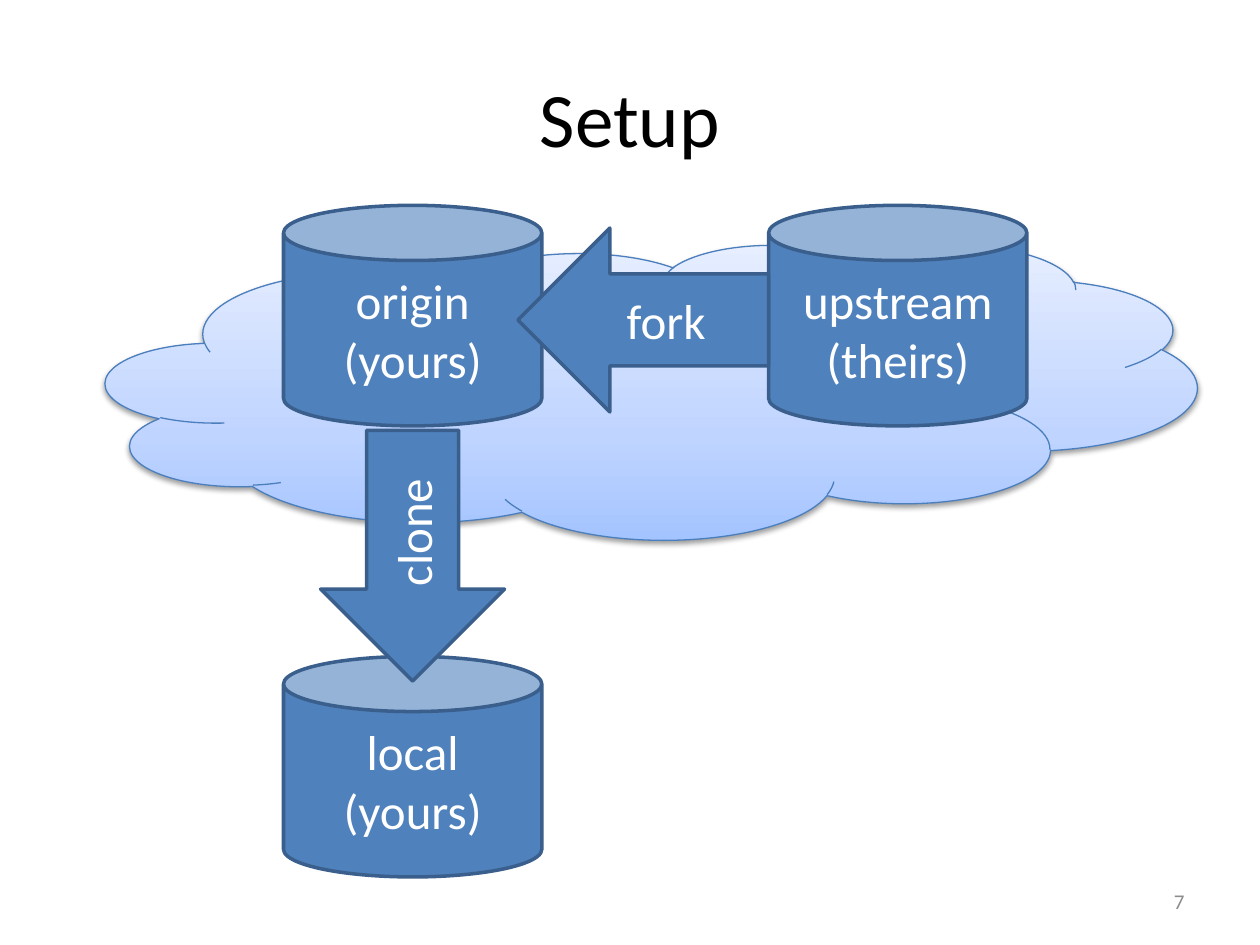
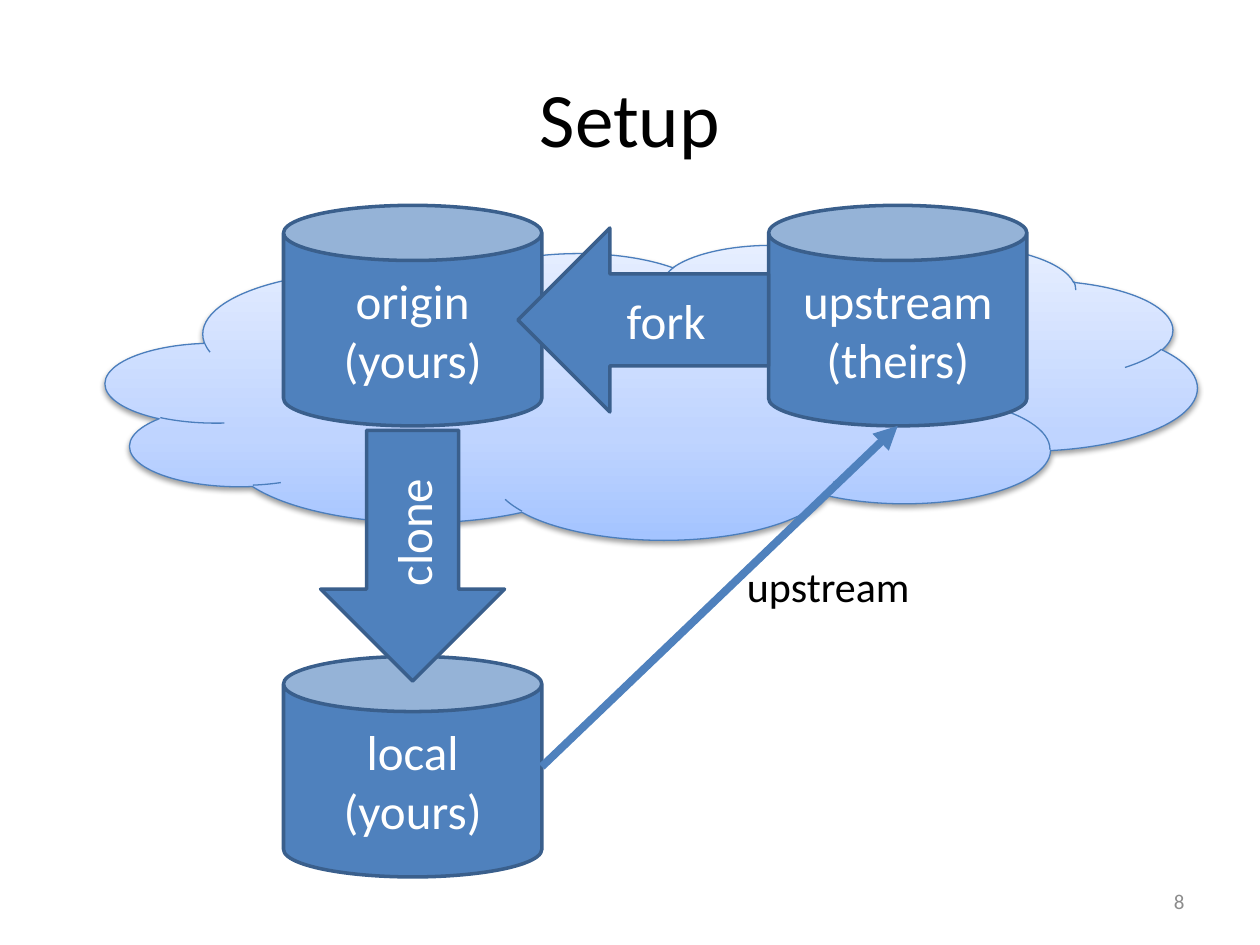
from copy import deepcopy
from pptx import Presentation
from pptx.dml.color import RGBColor
from pptx.enum.shapes import MSO_CONNECTOR, MSO_SHAPE
from pptx.enum.text import MSO_ANCHOR, PP_ALIGN
from pptx.oxml import parse_xml
from pptx.oxml.ns import nsdecls, qn
from pptx.oxml.xmlchemy import OxmlElement
from pptx.util import Inches, Pt

BLUE = RGBColor(0x4F, 0x81, 0xBD)
DARK_BLUE = RGBColor(0x3A, 0x5F, 0x8C)
CLOUD_LINE = RGBColor(0x4B, 0x7E, 0xBC)
BLACK = RGBColor(0, 0, 0)
WHITE = RGBColor(0xFF, 0xFF, 0xFF)
GRAY = RGBColor(0x8C, 0x8C, 0x8C)
CLOUD_STOPS = [
    (0, RGBColor(0xA4, 0xC4, 0xFF)),
    (0.35, RGBColor(0xBF, 0xD4, 0xFF)),
    (1, RGBColor(0xE6, 0xEE, 0xFF)),
]
FONT = "Calibri"

CAN_W, CAN_H = 2.05, 1.75
LEFT_X, RIGHT_X = 2.25, 6.1
TOP_Y, BOTTOM_Y = 1.63, 5.21
CANS = [
    ("upstream\v(theirs)", RIGHT_X, TOP_Y),
    ("origin\v(yours)", LEFT_X, TOP_Y),
    ("local\v(yours)", LEFT_X, BOTTOM_Y),
]
ARROW_W, ARROW_H = 1.99, 1.46
ARROWS = [("clone", 2.28, 3.68, 270), ("fork", RIGHT_X - ARROW_W, 1.81, 0)]


def style_text(p, size, color, align):
    p.alignment = align
    p.font.name = FONT
    p.font.size = Pt(size)
    p.font.color.rgb = color


def add_block(s, kind, x, y, w, h, text):
    sp = s.shapes.add_shape(kind, Inches(x), Inches(y), Inches(w), Inches(h))
    sp.shadow.inherit = False
    sp.fill.solid()
    sp.fill.fore_color.rgb = BLUE
    sp.line.color.rgb = DARK_BLUE
    sp.line.width = Pt(2)
    tf = sp.text_frame
    tf.vertical_anchor = MSO_ANCHOR.MIDDLE
    tf.text = text
    style_text(tf.paragraphs[0], 28, WHITE, PP_ALIGN.CENTER)
    return sp


prs = Presentation()
prs.slide_width, prs.slide_height = Inches(10), Inches(7.5)

for number in (7, 8):
    s = prs.slides.add_slide(prs.slide_layouts[5])
    title = s.shapes.title
    title.left, title.top = Inches(0.5), Inches(0.3)
    title.width, title.height = Inches(9), Inches(1.25)
    title.text_frame.text = "Setup"
    title.text_frame.vertical_anchor = MSO_ANCHOR.MIDDLE
    style_text(title.text_frame.paragraphs[0], 44, BLACK, PP_ALIGN.CENTER)

    cloud = s.shapes.add_shape(
        MSO_SHAPE.CLOUD, Inches(0.84), Inches(1.94), Inches(8.66), Inches(2.34))
    cloud.line.color.rgb = CLOUD_LINE
    cloud.line.width = Pt(0.75)
    cloud.fill.gradient()
    cloud.fill.gradient_angle = 90
    props = cloud._element.spPr
    stops = props.find(qn("a:gradFill")).find(qn("a:gsLst"))
    stops.insert(1, deepcopy(stops[0]))
    for stop, (position, color) in zip(cloud.fill.gradient_stops, CLOUD_STOPS):
        stop.position = position
        stop.color.rgb = color
    cloud.shadow.inherit = False
    props.find(qn("a:effectLst")).append(parse_xml(
        f'<a:outerShdw {nsdecls("a")} blurRad="{Pt(3.1)}" dist="{Pt(1.6)}" '
        'dir="5400000" rotWithShape="0"><a:srgbClr val="000000">'
        '<a:alpha val="38000"/></a:srgbClr></a:outerShdw>'))

    for text, x, y in CANS:
        add_block(s, MSO_SHAPE.CAN, x, y, CAN_W, CAN_H, text)

    if number == 8:
        link = s.shapes.add_connector(
            MSO_CONNECTOR.STRAIGHT,
            Inches(LEFT_X + CAN_W), Inches(BOTTOM_Y + CAN_H / 2),
            Inches(RIGHT_X + CAN_W / 2), Inches(TOP_Y + CAN_H))
        link.line.color.rgb = BLUE
        link.line.width = Pt(4.5)
        head = OxmlElement("a:tailEnd")
        head.set("type", "triangle")
        link.line._get_or_add_ln().append(head)
        link._element.spPr.append(OxmlElement("a:effectLst"))

        label = s.shapes.add_textbox(
            Inches(5.83), Inches(4.4), Inches(1.53), Inches(0.5))
        label.text_frame.text = "upstream"
        style_text(label.text_frame.paragraphs[0], 24, BLACK, PP_ALIGN.LEFT)

    for text, x, y, angle in ARROWS:
        arrow = add_block(s, MSO_SHAPE.LEFT_ARROW, x, y, ARROW_W, ARROW_H, text)
        arrow.rotation = angle

    footer = s.shapes.add_textbox(
        Inches(7.17), Inches(6.95), Inches(2.33), Inches(0.4))
    tf = footer.text_frame
    tf.word_wrap = True
    tf.vertical_anchor = MSO_ANCHOR.MIDDLE
    tf.text = str(number)
    style_text(tf.paragraphs[0], 12, GRAY, PP_ALIGN.RIGHT)

prs.save("out.pptx")
